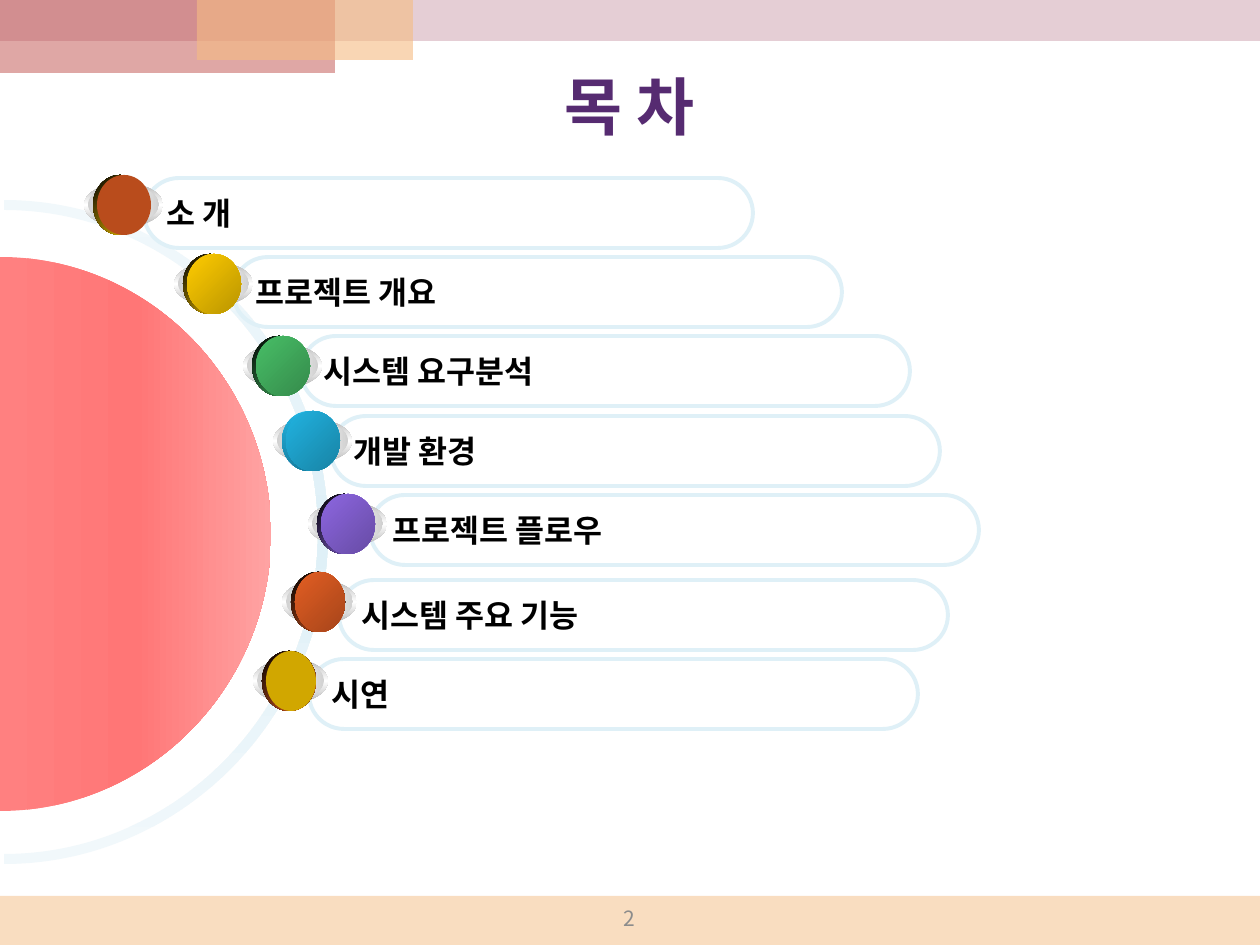
from lxml import etree
from pptx import Presentation
from pptx.dml.color import RGBColor
from pptx.enum.shapes import MSO_SHAPE
from pptx.enum.text import MSO_ANCHOR, PP_ALIGN
from pptx.oxml.ns import qn
from pptx.util import Emu, Pt

RECT, OVAL, PILL = MSO_SHAPE.RECTANGLE, MSO_SHAPE.OVAL, MSO_SHAPE.ROUNDED_RECTANGLE
MIDDLE = MSO_ANCHOR.MIDDLE
LEFT, CENTER = PP_ALIGN.LEFT, PP_ALIGN.CENTER
PX = 914400 // 126
KAPPA = 0.55  # handle length of a quarter circle

THEME = {
    "font": "Noto Sans CJK KR",
    "title": ("562B71", 36, True),
    "item": ("000000", 18, True),
    "page": ("8C8C8C", 12, False),
    "pill_line": "DFF0F7",
    "ring": ["F1F8FB", "DFF0F7", "F1F8FB"],
    "disc": ["FF8080", "FF7676", "FFA3A3"],
    "rim": ["B6B6B6", "FFFFFF", "B6B6B6"],
    "rim_inner": ["D1D1D1", "FFFFFF", "D1D1D1"],
}

# Content
TITLE, PAGE = "목 차", "2"
BANDS = [  # box, colour, opacity in percent
    ((0, 896, 1260, 49), "F5BC83", 50),
    ((0, 0, 1260, 41), "CC9EAC", 50),
    ((0, 0, 335, 73), "C0504D", 50),
    ((197, 0, 216, 60), "F5BC83", 60),
]
ITEMS = [  # text, pill corner, orb corner, orb trim, side colours, side angle, face colours
    ("소 개", (144, 178), (84, 183), 0, ["000000", "FFCC00"], 45, ["B94C1C"]),
    ("프로젝트 개요", (233, 257), (174, 262), 0, ["000000", "FFCC00"], 45, ["FFCC00", "BA9500"]),
    ("시스템 요구분석", (301, 336), (243, 344), 0, ["000000", "48BE67"], 45, ["48BE67", "358B4B"]),
    ("개발 환경", (331, 416), (273, 419), 0, ["21B3E1", "1880A1"], 90, ["21B3E1", "1883A4"]),
    ("프로젝트 플로우", (370, 495), (308, 502), 0, ["000000", "8D67E1"], 45, ["8D67E1", "674BA4"]),
    ("시스템 주요 기능", (339, 580), (282, 580), 4, ["000000", "E35E23"], 45, ["E35E23", "A6451A"]),
    ("시연", (309, 659), (253, 659), 4, ["000000", "E35E23"], 45, ["D1A700"]),
]
PILL_SIZE = (609, 70)


def emu(values):
    return [Emu(round(v * PX)) for v in values]


def paint(sp, colours, angle=0, opacity=100):
    """Fill with one colour, or with evenly spaced gradient stops (clockwise angle)."""
    sp.shadow.inherit = False
    sp.line.fill.background()
    if len(colours) == 1:
        sp.fill.solid()
        sp.fill.fore_color.rgb = RGBColor.from_string(colours[0])
        if opacity < 100:
            clr = sp._element.spPr.find(".//" + qn("a:srgbClr"))
            etree.SubElement(clr, qn("a:alpha"), val=str(opacity * 1000))
        return
    sp.fill.gradient()
    sp.fill.gradient_angle = -angle % 360
    stops = sp._element.spPr.find(".//" + qn("a:gsLst"))
    for old in list(stops):
        stops.remove(old)
    for i, colour in enumerate(colours):
        gs = etree.SubElement(stops, qn("a:gs"), pos=str(100000 * i // (len(colours) - 1)))
        etree.SubElement(gs, qn("a:srgbClr"), val=colour)


def write(tf, text, style, align, wrap=True):
    colour, size, bold = THEME[style]
    tf.word_wrap = wrap
    tf.vertical_anchor = MIDDLE
    p = tf.paragraphs[0]
    p.alignment = align
    r = p.add_run()
    r.text = text
    r.font.size, r.font.bold, r.font.name = Pt(size), bold, THEME["font"]
    r.font.color.rgb = RGBColor.from_string(colour)
    r.font._element.set("kern", "0")
    etree.SubElement(r.font._element, qn("a:ea"), typeface=THEME["font"])


def half_ellipse(cx, cy, rx, ry):
    """Right half from top to bottom: a start point and two cubic curves."""
    hx, hy = KAPPA * rx, KAPPA * ry
    return [(cx, cy - ry),
            (cx + hx, cy - ry), (cx + rx, cy - hy), (cx + rx, cy),
            (cx + rx, cy + hy), (cx + hx, cy + ry), (cx, cy + ry)]


def curved_outline(shapes, *halves):
    """Join half ellipses; each one's points after its first are cubic triples."""
    points = [emu(pt) for half in halves for pt in half]
    builder = shapes.build_freeform(*points[0])
    builder.add_line_segments(points[1:], close=True)
    sp = builder.convert_to_shape()
    lines = sp._element.spPr.findall(".//" + qn("a:lnTo"))
    for i in range(len(halves)):
        for first in (7 * i, 7 * i + 3):
            triple = lines[first:first + 3]
            curve = etree.Element(qn("a:cubicBezTo"))
            triple[0].addprevious(curve)
            for line in triple:
                curve.append(line[0])
                line.getparent().remove(line)
    return sp


def add_orb(shapes, corner, trim, side, side_angle, face):
    x, y = corner
    group = shapes.add_group_shape().shapes
    layers = [
        ((x, y, 79 - trim, 44), THEME["rim"], 90),
        ((x + 4, y + 2, 71 - trim, 39), THEME["rim_inner"], 0),
        ((x + 9, y - 8, 54, 60), side, side_angle),
        ((x + 13, y - 8, 54 - trim, 60), face, 45),
    ]
    for box, colours, angle in layers:
        paint(group.add_shape(OVAL, *emu(box)), colours, angle)


prs = Presentation()
prs.slide_width, prs.slide_height = emu((1260, 945))
s = prs.slides.add_slide(prs.slide_layouts[5])

# Title and colour bands
title = s.shapes.title
title.left, title.top, title.width, title.height = emu((68, 42, 1123, 126))
write(title.text_frame, TITLE, "title", CENTER)
for box, colour, opacity in BANDS:
    paint(s.shapes.add_shape(RECT, *emu(box)), [colour], opacity=opacity)

# Page number
page = s.shapes.add_textbox(*emu((482, 901, 294, 34)))
write(page.text_frame, PAGE, "page", CENTER)

# Ring and half disc
outer, inner = half_ellipse(4, 532, 324, 332), half_ellipse(4, 532, 314, 322)
paint(curved_outline(s.shapes, outer, inner[::-1]), THEME["ring"], 90)
paint(curved_outline(s.shapes, half_ellipse(0, 534, 271, 277)), THEME["disc"])

# Agenda items
for text, pill_corner, orb_corner, trim, side, side_angle, face in ITEMS:
    pill = s.shapes.add_shape(PILL, *emu(pill_corner + PILL_SIZE))
    pill.adjustments[0] = 0.5
    pill.shadow.inherit = False
    pill.fill.background()
    pill.line.color.rgb = RGBColor.from_string(THEME["pill_line"])
    pill.line.width = Pt(2.25)
    write(pill.text_frame, text, "item", LEFT, wrap=False)
    add_orb(s.shapes, orb_corner, trim, side, side_angle, face)

prs.save("out.pptx")
